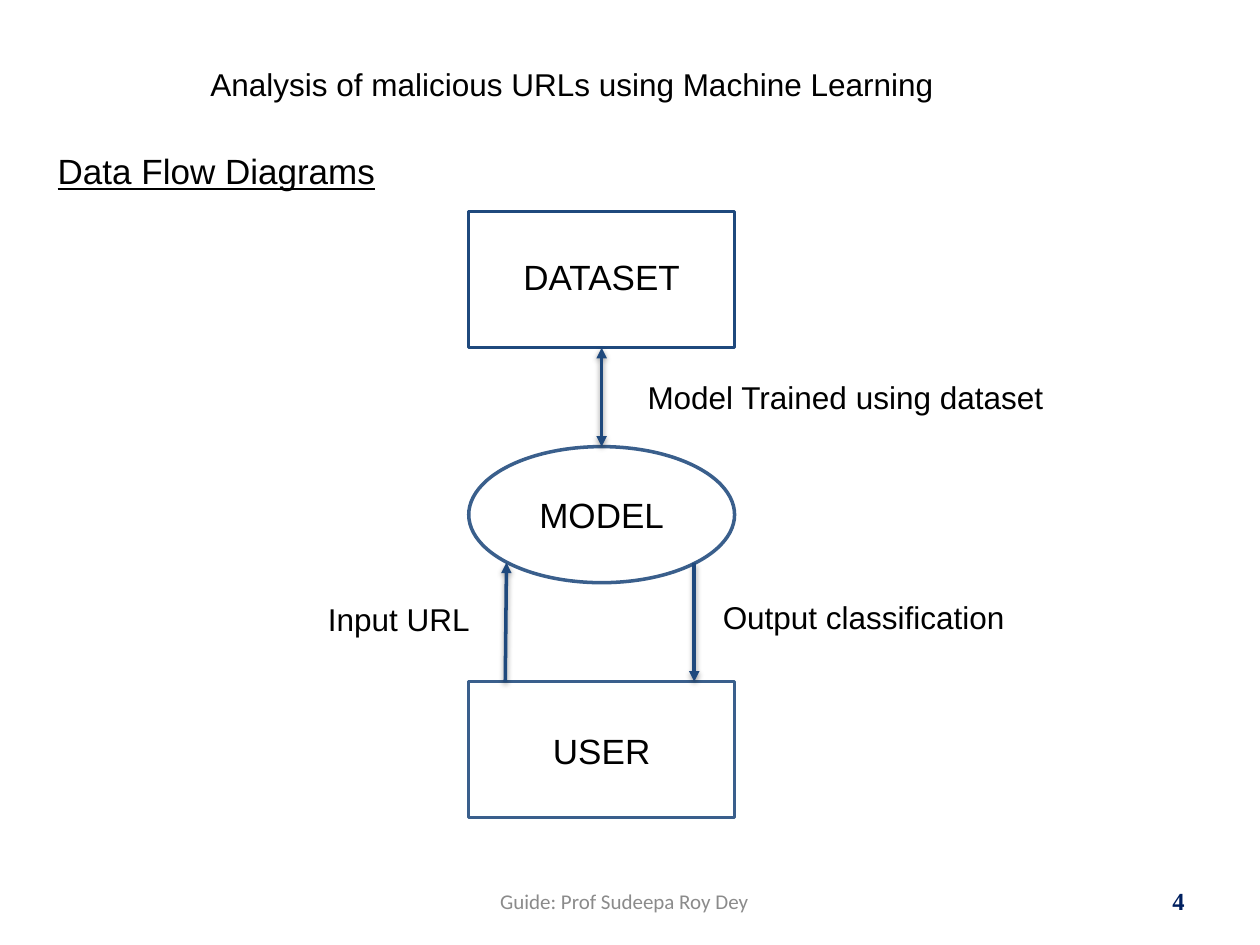
from lxml import etree
from pptx import Presentation
from pptx.dml.color import RGBColor
from pptx.enum.shapes import MSO_CONNECTOR, MSO_SHAPE
from pptx.enum.text import MSO_ANCHOR, PP_ALIGN
from pptx.oxml import parse_xml
from pptx.oxml.ns import nsdecls, qn
from pptx.util import Inches, Pt

LEFT, CENTER, RIGHT = PP_ALIGN.LEFT, PP_ALIGN.CENTER, PP_ALIGN.RIGHT
TOP, MIDDLE = MSO_ANCHOR.TOP, MSO_ANCHOR.MIDDLE
RECT, OVAL = MSO_SHAPE.RECTANGLE, MSO_SHAPE.OVAL
STRAIGHT = MSO_CONNECTOR.STRAIGHT

BLACK = RGBColor(0x00, 0x00, 0x00)
WHITE = RGBColor(0xFF, 0xFF, 0xFF)
GREY = RGBColor(0x8B, 0x8B, 0x8B)
NAVY = RGBColor(0x00, 0x20, 0x60)
BLUE = RGBColor(0x1F, 0x49, 0x7D)
STEEL = RGBColor(0x3A, 0x5F, 0x8C)

SHADOW = (
    f'<a:effectLst {nsdecls("a")}>'
    '<a:outerShdw blurRad="40000" dist="20000" dir="5400000" rotWithShape="0">'
    '<a:srgbClr val="000000"><a:alpha val="38000"/></a:srgbClr>'
    '</a:outerShdw></a:effectLst>'
)


def add_text(slide, text, box, size, align=CENTER, font="Arial", color=BLACK, anchor=TOP):
    """Add a one-paragraph text box and return its paragraph."""
    tf = slide.shapes.add_textbox(*map(Inches, box)).text_frame
    tf.word_wrap = True
    tf.vertical_anchor = anchor
    p = tf.paragraphs[0]
    p.text = text
    p.alignment = align
    p.font.size = Pt(size)
    p.font.name = font
    p.font.color.rgb = color
    return p


def add_node(slide, kind, label, box, line_color, label_drop):
    """Add an outlined shape with its label centred across it."""
    left, top, width, height = box
    sp = slide.shapes.add_shape(kind, *map(Inches, box))
    sp.shadow.inherit = False
    sp.fill.solid()
    sp.fill.fore_color.rgb = WHITE
    sp.line.color.rgb = line_color
    sp.line.width = Pt(2)
    add_text(slide, label, (left + 0.31, top + label_drop, width - 0.62, 0.44), 20)


def add_arrow(slide, start, end, both_ends=False):
    cxn = slide.shapes.add_connector(STRAIGHT, *map(Inches, start + end))
    cxn.line.color.rgb = BLUE
    cxn.line.width = Pt(2)
    ln = cxn.line._get_or_add_ln()
    for tag in ("a:headEnd", "a:tailEnd") if both_ends else ("a:tailEnd",):
        etree.SubElement(ln, qn(tag), type="triangle")
    ln.addnext(parse_xml(SHADOW))


def add_header(slide, left, top):
    p = add_text(slide, "Analysis of malicious URLs using Machine Learning",
                 (left + 0.89, top, 6.58, 0.4), 18)
    p.line_spacing = 1.15
    p.space_after = Pt(10)
    p = add_text(slide, "Data Flow Diagrams", (left, top + 0.75, 9.14, 5.7), 20, LEFT)
    p.line_spacing = 0.93
    p.font.underline = True


def add_flow(slide, left, top):
    """Dataset, model and user stacked at an equal pitch, joined by arrows."""
    width, height, pitch = 2.11, 1.08, 1.865
    nodes = [
        (RECT, "DATASET", BLUE, 0.30),
        (OVAL, "MODEL", STEEL, 0.32),
        (RECT, "USER", STEEL, 0.33),
    ]
    for i, (kind, label, color, drop) in enumerate(nodes):
        add_node(slide, kind, label, (left, top + i * pitch, width, height), color, drop)

    # Arrows between the nodes
    middle, model_top, user_top = left + width / 2, top + pitch, top + 2 * pitch
    model_edge = model_top + 0.92
    add_arrow(slide, (middle, top + height), (middle, model_top), both_ends=True)
    add_arrow(slide, (left + 1.79, model_edge), (left + 1.79, user_top))
    add_arrow(slide, (left + 0.29, user_top), (left + 0.3, model_edge))

    # Arrow labels
    for text, dx, dy, label_width in [
        ("Input URL", -1.3, 3.03, 1.49),
        ("Model Trained using dataset", 1.06, 1.27, 3.86),
        ("Output classification", 1.8, 3.02, 2.67),
    ]:
        add_text(slide, text, (left + dx, top + dy, label_width, 0.4), 18)


def add_footer(slide, left, top):
    add_text(slide, "Guide: Prof Sudeepa Roy Dey", (left, top, 3.25, 0.4), 12,
             font="Calibri", color=GREY, anchor=MIDDLE)
    p = add_text(slide, "4", (left + 3.84, top, 2.33, 0.4), 14, RIGHT,
                 "Times New Roman", NAVY, MIDDLE)
    p.font.bold = True


prs = Presentation()
prs.slide_width, prs.slide_height = Inches(10), Inches(7.5)
slide = prs.slides.add_slide(prs.slide_layouts[6])
add_header(slide, 0.36, 0.42)
add_flow(slide, 3.72, 1.68)
add_footer(slide, 3.33, 6.95)
prs.save("out.pptx")
